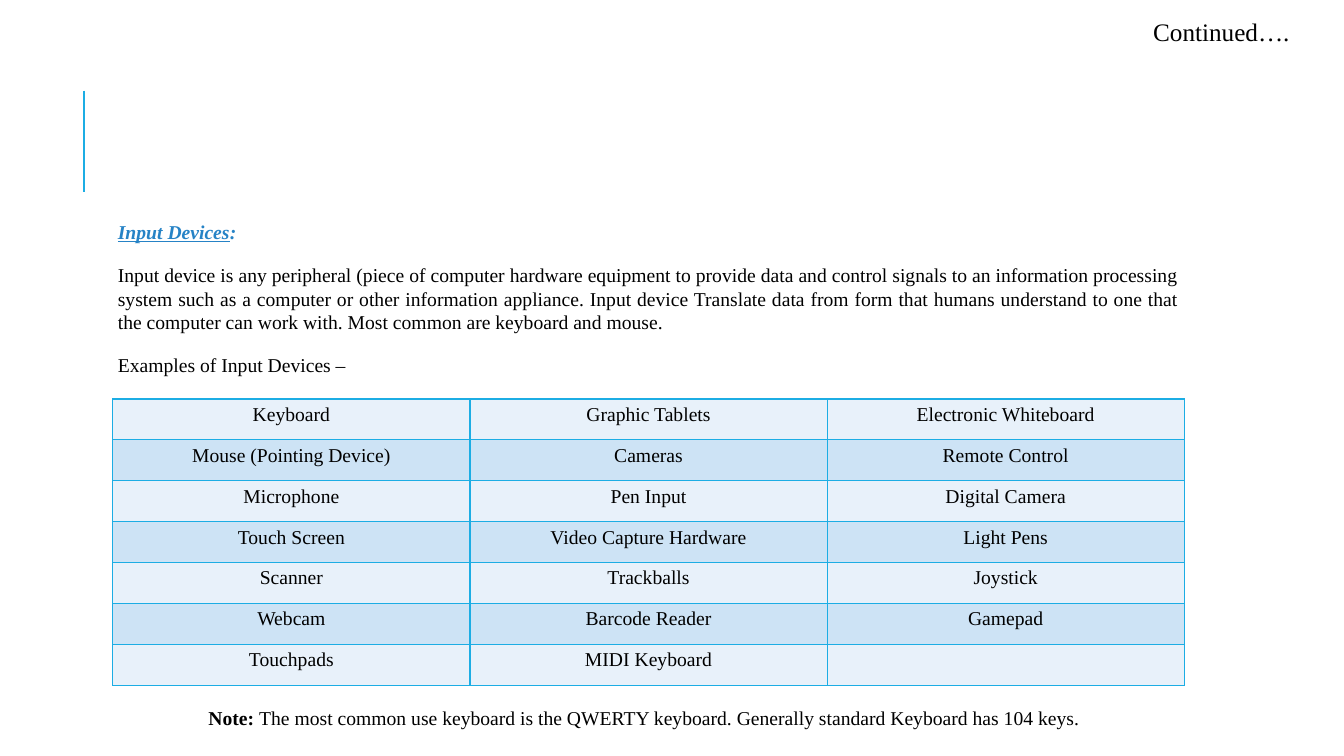
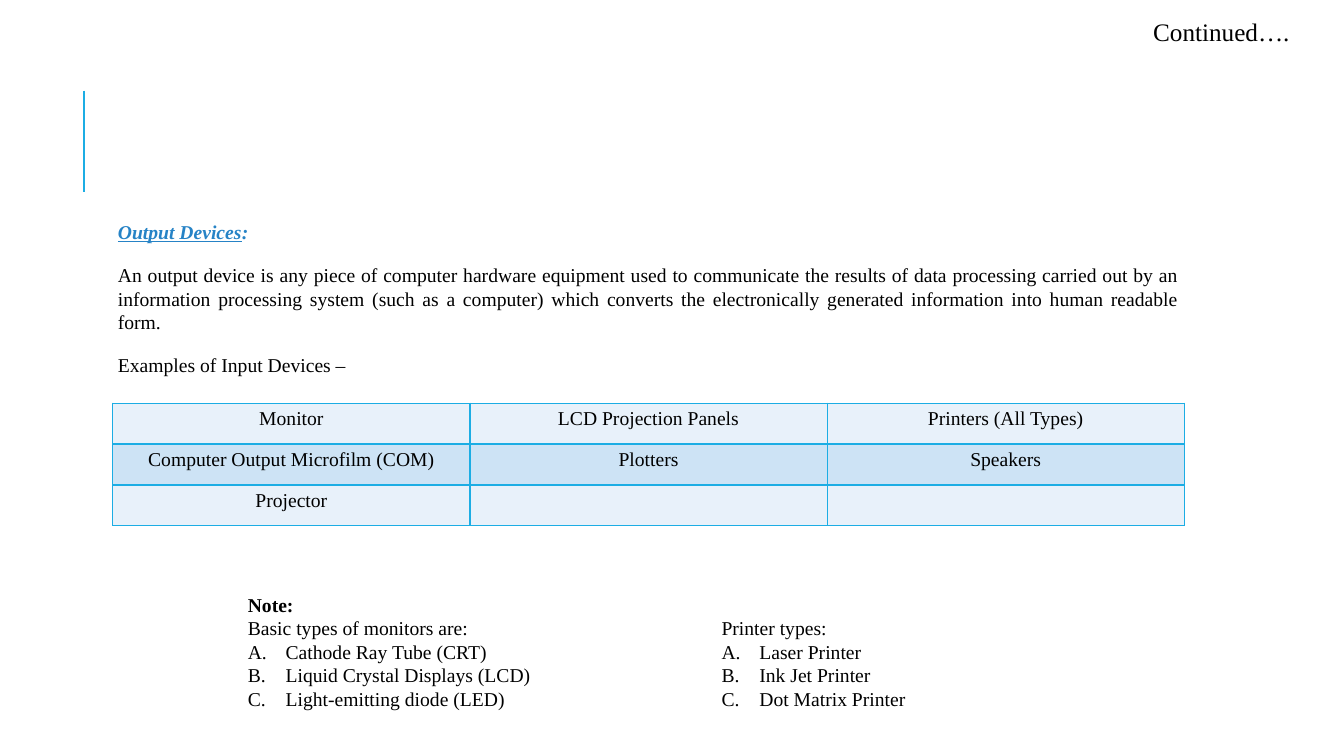
from lxml import etree
from pptx import Presentation
from pptx.dml.color import RGBColor
from pptx.enum import shapes, text
from pptx.oxml import ns
from pptx.util import Pt

FONT = "Times New Roman"
BLACK, HEADING, ACCENT = "000000", "2683C6", "1CADE4"
BANDS = ("E8F1FA", "CDE3F5")
TEXT_SIZE, TITLE_SIZE = 14, 18
LIST_INDENT = 27
ROW_HEIGHT = 29.2

# Boxes are left, top, width, height in points
TITLE_BOX = (816.5, 7.9, 128.9, 28.8)
BODY_BOX = (80.6, 153.4, 765.4, 316.8)
RULE_BOX = (60, 64.8, 0, 72)

INPUT_DEVICES = (
    ("Keyboard", "Graphic Tablets", "Electronic Whiteboard"),
    ("Mouse (Pointing Device)", "Cameras", "Remote Control"),
    ("Microphone", "Pen Input", "Digital Camera"),
    ("Touch Screen", "Video Capture Hardware", "Light Pens"),
    ("Scanner", "Trackballs", "Joystick"),
    ("Webcam", "Barcode Reader", "Gamepad"),
    ("Touchpads", "MIDI Keyboard", ""),
)
OUTPUT_DEVICES = (
    ("Monitor", "LCD Projection Panels", "Printers (All Types)"),
    ("Computer Output Microfilm (COM)", "Plotters", "Speakers"),
    ("Projector", "", ""),
)


def color(hex_string):
    return RGBColor.from_string(hex_string)


def points(box):
    return [Pt(value) for value in box]


def add_run(paragraph, words, size=TEXT_SIZE, fill=BLACK, bold=False,
            italic=False, underline=False):
    run = paragraph.add_run()
    run.text = words
    font = run.font
    font.name, font.size = FONT, Pt(size)
    font.bold, font.italic, font.underline = bold, italic, underline
    font.color.rgb = color(fill)


def add_paragraph(frame, alignment=text.PP_ALIGN.JUSTIFY):
    """Return the frame's empty first paragraph, or a new one after its text."""
    first = frame.paragraphs[0]
    paragraph = frame.add_paragraph() if first.runs else first
    paragraph.alignment = alignment
    return paragraph


def set_marker(paragraph, tag, indent=0, **attributes):
    """Set the hanging indent and the bullet element of a paragraph."""
    properties = paragraph._p.get_or_add_pPr()
    properties.set("marL", str(Pt(indent)))
    properties.set("indent", str(-Pt(indent)))
    etree.SubElement(properties, ns.qn(tag), **attributes)


def place(shape, box):
    shape.left, shape.top, shape.width, shape.height = points(box)


def add_title(slide, box):
    title = slide.shapes.title
    place(title, box)
    frame = title.text_frame
    frame.vertical_anchor = text.MSO_ANCHOR.TOP
    frame.auto_size = text.MSO_AUTO_SIZE.NONE
    add_run(add_paragraph(frame, text.PP_ALIGN.LEFT), "Continued….", TITLE_SIZE)


def add_rule(slide, box):
    left, top, width, height = box
    rule = slide.shapes.add_connector(
        shapes.MSO_CONNECTOR.STRAIGHT,
        *points((left, top, left + width, top + height)))
    rule.line.color.rgb = color(ACCENT)
    rule.line.width = Pt(1.5)
    etree.SubElement(rule._element.spPr, ns.qn("a:effectLst"))


def add_body(slide, box, heading, definition):
    body = slide.placeholders[1]
    place(body, box)
    frame = body.text_frame
    frame.auto_size = text.MSO_AUTO_SIZE.NONE
    frame.vertical_anchor = text.MSO_ANCHOR.TOP
    frame.margin_left = frame.margin_right = Pt(3.6)
    frame.margin_top = frame.margin_bottom = Pt(3.6)
    heading_style = dict(fill=HEADING, bold=True, italic=True)
    contents = (
        ((heading, dict(heading_style, underline=True)), (":", heading_style)),
        ((definition, {}),),
        (("Examples of Input Devices –", {}),),
    )
    for index, runs in enumerate(contents):
        paragraph = add_paragraph(frame)
        set_marker(paragraph, "a:buNone")
        paragraph.space_before = Pt(12 if index else 0)
        paragraph.space_after = Pt(2)
        for words, style in runs:
            add_run(paragraph, words, **style)


def add_borders(cell):
    properties = cell._tc.get_or_add_tcPr()
    for side in ("a:lnL", "a:lnR", "a:lnT", "a:lnB"):
        line = etree.SubElement(properties, ns.qn(side), w=str(Pt(1)))
        fill = etree.SubElement(line, ns.qn("a:solidFill"))
        etree.SubElement(fill, ns.qn("a:srgbClr"), val=ACCENT)


def add_device_table(slide, top, devices):
    left, _, width, _ = BODY_BOX
    box = (left, top, width, ROW_HEIGHT * len(devices))
    table = slide.shapes.add_table(
        len(devices), len(devices[0]), *points(box)).table
    table.first_row = table.horz_banding = False
    for row_index, names in enumerate(devices):
        for column_index, name in enumerate(names):
            cell = table.cell(row_index, column_index)
            add_borders(cell)
            cell.fill.solid()
            cell.fill.fore_color.rgb = color(BANDS[row_index % 2])
            if name:
                paragraph = add_paragraph(cell.text_frame, text.PP_ALIGN.CENTER)
                add_run(paragraph, name)


def add_note_frame(parent, box):
    frame = parent.shapes.add_textbox(*points(box)).text_frame
    frame.word_wrap = True
    return frame


def add_lettered_list(frame, heading, items):
    add_run(add_paragraph(frame), heading)
    for item in items:
        paragraph = add_paragraph(frame)
        set_marker(paragraph, "a:buAutoNum", LIST_INDENT, type="alphaUcPeriod")
        add_run(paragraph, item)


def add_keyboard_note(slide, box):
    paragraph = add_paragraph(add_note_frame(slide, box))
    add_run(paragraph, "Note: ", bold=True)
    add_run(paragraph, "The most common use keyboard is the QWERTY keyboard. "
                       "Generally standard Keyboard has 104 keys.")


def add_type_notes(slide, box):
    """Place two lettered lists side by side, ending at the same height."""
    left, top, width, height = box
    column_width, heading_height = 282.2, 16.9
    group = slide.shapes.add_group_shape()
    monitors = add_note_frame(group, (left, top, column_width, height))
    add_run(add_paragraph(monitors), "Note:", bold=True)
    add_lettered_list(monitors, "Basic types of monitors are:", (
        "Cathode Ray Tube (CRT)",
        "Liquid Crystal Displays (LCD)",
        "Light-emitting diode (LED)"))
    printers = add_note_frame(group, (
        left + width - column_width, top + heading_height,
        column_width, height - heading_height))
    add_lettered_list(printers, "Printer types:", (
        "Laser Printer", "Ink Jet Printer", "Dot Matrix Printer"))


def add_device_slide(presentation, heading, definition, table_top, devices):
    slide = presentation.slides.add_slide(presentation.slide_layouts[1])
    add_rule(slide, RULE_BOX)
    add_title(slide, TITLE_BOX)
    add_body(slide, BODY_BOX, heading, definition)
    add_device_table(slide, table_top, devices)
    return slide


def main():
    presentation = Presentation()
    presentation.slide_width, presentation.slide_height = Pt(960), Pt(540)

    input_slide = add_device_slide(
        presentation, "Input Devices",
        "Input device is any peripheral (piece of computer hardware equipment "
        "to provide data and control signals to an information processing "
        "system such as a computer or other information appliance. Input "
        "device Translate data from form that humans understand to one that "
        "the computer can work with. Most common are keyboard and mouse.",
        285, INPUT_DEVICES)
    add_keyboard_note(input_slide, (141.8, 500.4, 676.8, 24.5))

    output_slide = add_device_slide(
        presentation, "Output Devices",
        "An output device is any piece of computer hardware equipment used to "
        "communicate the results of data processing carried out by an "
        "information processing system (such as a computer) which converts "
        "the electronically generated information into human readable form.",
        288, OUTPUT_DEVICES)
    add_type_notes(output_slide, (169.9, 419.8, 620.6, 92.2))

    presentation.save("out.pptx")


if __name__ == "__main__":
    main()
